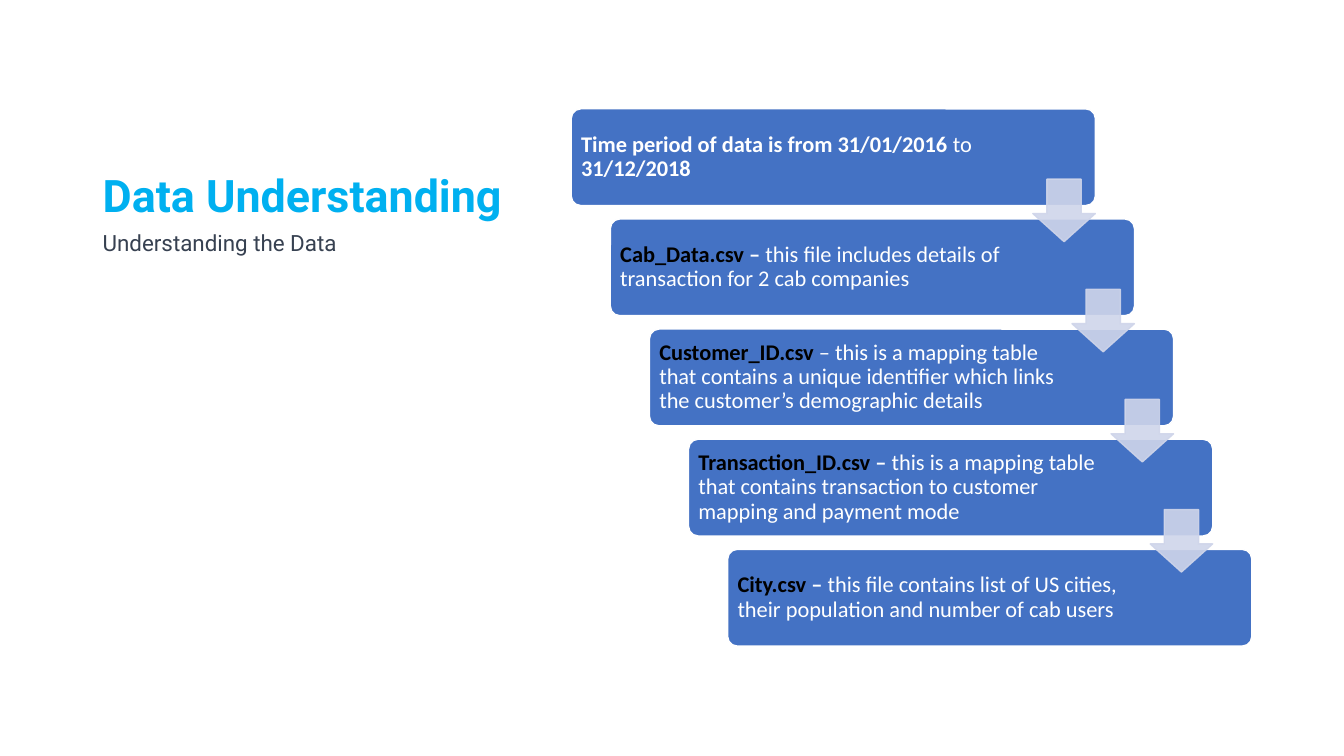
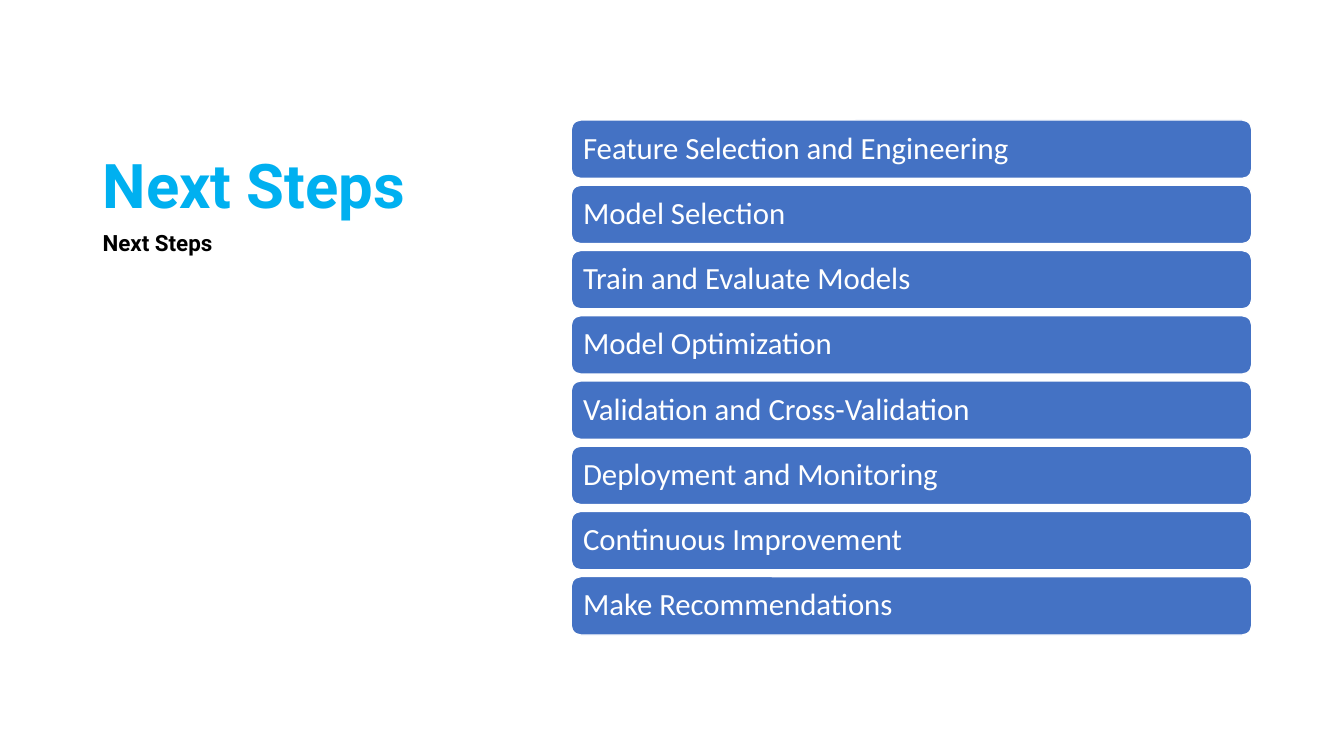
from dataclasses import dataclass

from lxml.etree import SubElement
from pptx import Presentation
from pptx.dml.color import RGBColor
from pptx.enum.shapes import MSO_SHAPE
from pptx.enum.text import MSO_ANCHOR, PP_ALIGN
from pptx.oxml.ns import qn
from pptx.util import Inches, Pt

COLORS = {
    "title": "00B0F0",
    "subtitle": "374151",
    "card": "4472C4",
    "arrow": "CFD5EA",
    "light": "FFFFFF",
    "dark": "000000",
}
HEADING_FONT, CARD_FONT = "Roboto", "Calibri"

# Grid of 100 columns by 100 rows
SLIDE_WIDTH, SLIDE_HEIGHT = 13.33, 7.5
COLUMN, ROW = SLIDE_WIDTH / 100, SLIDE_HEIGHT / 100


@dataclass(frozen=True)
class Box:
    """A rectangle in columns and rows of the grid."""
    left: float
    top: float
    width: float
    height: float

    def place(self) -> tuple:
        return (Inches(self.left * COLUMN), Inches(self.top * ROW),
                Inches(self.width * COLUMN), Inches(self.height * ROW))


@dataclass(frozen=True)
class Run:
    text: str
    color: str = "light"
    bold: bool = False


@dataclass(frozen=True)
class Heading:
    title: str
    title_size: int
    subtitle: Run


TITLE_BOX = Box(6.9, 6.67, 32.25, 23.33)
SUBTITLE_BOX = Box(6.9, 30, 32.25, 55.6)
STAIRS = Box(42.5, 14.4, 50.64, 71.07)
STAIR_WIDTH, STAIR_HEIGHT = 39, 12.8
ARROW_WIDTH, ARROW_HEIGHT, ARROW_DROP = 4.65, 8.27, 9.3
STEPS = Box(42.5, 15.87, 50.64, 68.13)
STEP_HEIGHT = 7.73

DATA_HEADING = Heading("Data Understanding", 32,
                       Run("Understanding the Data", "subtitle"))
NEXT_HEADING = Heading("Next Steps", 44, Run("Next Steps", "dark", True))

DATA_FILES = [
    [Run("Time period of data is from 31/01/2016 ", bold=True), Run("to"),
     Run(" 31/12/2018", bold=True)],
    [Run("Cab_Data.csv ", "dark", True), Run("– ", bold=True),
     Run("this file includes details of transaction for 2 cab companies")],
    [Run("Customer_ID.csv ", "dark", True),
     Run("– this is a mapping table that contains a unique identifier "
         "which links the customer’s demographic details")],
    [Run("Transaction_ID.csv ", "dark", True), Run("– ", bold=True),
     Run("this is a mapping table that contains transaction to customer "
         "mapping and payment mode")],
    [Run("City.csv ", "dark", True), Run("– ", bold=True),
     Run("this file contains list of US cities, their population "
         "and number of cab users")],
]
NEXT_STEPS = [
    "Feature Selection and Engineering",
    "Model Selection",
    "Train and Evaluate Models",
    "Model Optimization",
    "Validation and Cross-Validation",
    "Deployment and Monitoring",
    "Continuous Improvement",
    "Make Recommendations",
]


def rgb(name: str) -> RGBColor:
    return RGBColor.from_string(COLORS[name])


def write_text(shape, runs: list[Run], *, size: float, font: str,
               anchor=MSO_ANCHOR.MIDDLE, inset: float | None = None,
               right_inset: float | None = None, space_before: float = 0) -> None:
    """Fill a shape with one left-aligned paragraph of formatted runs."""
    frame = shape.text_frame
    frame.word_wrap = True
    frame.vertical_anchor = anchor
    if inset is not None:
        frame.margin_left = frame.margin_top = frame.margin_bottom = Inches(inset)
        frame.margin_right = Inches(inset if right_inset is None else right_inset)
    paragraph = frame.paragraphs[0]
    paragraph.alignment = PP_ALIGN.LEFT
    paragraph.line_spacing = 0.9
    paragraph.space_before = Pt(space_before)
    for part in runs:
        run = paragraph.add_run()
        run.text = part.text
        run.font.name = font
        run.font.size = Pt(size)
        run.font.bold = part.bold
        run.font.color.rgb = rgb(part.color)


def add_box(slide, kind, box: Box, *, fill: str, line: str,
            adjustments: tuple = (), opacity: int = 100):
    """Draw a preset shape with a solid fill and a thin outline."""
    shape = slide.shapes.add_shape(kind, *box.place())
    shape.shadow.inherit = False
    shape.fill.solid()
    shape.fill.fore_color.rgb = rgb(fill)
    shape.line.color.rgb = rgb(line)
    shape.line.width = Pt(1)
    for index, value in enumerate(adjustments):
        shape.adjustments[index] = value
    if opacity < 100:
        for color in shape.element.spPr.iter(qn("a:srgbClr")):
            SubElement(color, qn("a:alpha")).set("val", str(opacity * 1000))
    return shape


def add_heading(slide, heading: Heading) -> None:
    title = slide.shapes.add_textbox(*TITLE_BOX.place())
    write_text(title, [Run(heading.title, "title", True)],
               size=heading.title_size, font=HEADING_FONT,
               anchor=MSO_ANCHOR.BOTTOM)
    subtitle = slide.shapes.add_textbox(*SUBTITLE_BOX.place())
    write_text(subtitle, [heading.subtitle], size=16, font=HEADING_FONT,
               anchor=MSO_ANCHOR.TOP, space_before=10)


def spread(area: Box, count: int, width: float, height: float) -> list[Box]:
    """Space equal boxes from the area's top left to its bottom right."""
    across = (area.width - width) / (count - 1)
    down = (area.height - height) / (count - 1)
    return [Box(area.left + index * across, area.top + index * down, width, height)
            for index in range(count)]


def add_staircase(slide, files: list[list[Run]]) -> None:
    stairs = spread(STAIRS, len(files), STAIR_WIDTH, STAIR_HEIGHT)
    for index, (box, runs) in enumerate(zip(stairs, files)):
        card = add_box(slide, MSO_SHAPE.ROUNDED_RECTANGLE, box, fill="card",
                       line="light", adjustments=(0.1,))
        write_text(card, runs, size=16, font=CARD_FONT, inset=0.07,
                   right_inset=1.08 if index else 1.16)
    # Arrows lead from each stair to the next
    for box in stairs[:-1]:
        arrow = Box(box.left + box.width - ARROW_WIDTH, box.top + ARROW_DROP,
                    ARROW_WIDTH, ARROW_HEIGHT)
        add_box(slide, MSO_SHAPE.DOWN_ARROW, arrow, fill="arrow", line="arrow",
                adjustments=(0.55, 0.45), opacity=90)


def add_step_list(slide, steps: list[str]) -> None:
    boxes = spread(STEPS, len(steps), STEPS.width, STEP_HEIGHT)
    for box, step in zip(boxes, steps):
        card = add_box(slide, MSO_SHAPE.ROUNDED_RECTANGLE, box,
                       fill="card", line="light")
        write_text(card, [Run(step)], size=22, font=CARD_FONT, inset=0.09)


def main() -> None:
    presentation = Presentation()
    presentation.slide_width = Inches(SLIDE_WIDTH)
    presentation.slide_height = Inches(SLIDE_HEIGHT)
    blank = presentation.slide_layouts[6]

    # Each slide: heading on the left, cards on the right
    for heading, add_cards, content in (
        (DATA_HEADING, add_staircase, DATA_FILES),
        (NEXT_HEADING, add_step_list, NEXT_STEPS),
    ):
        slide = presentation.slides.add_slide(blank)
        add_heading(slide, heading)
        add_cards(slide, content)

    presentation.save("out.pptx")


if __name__ == "__main__":
    main()
